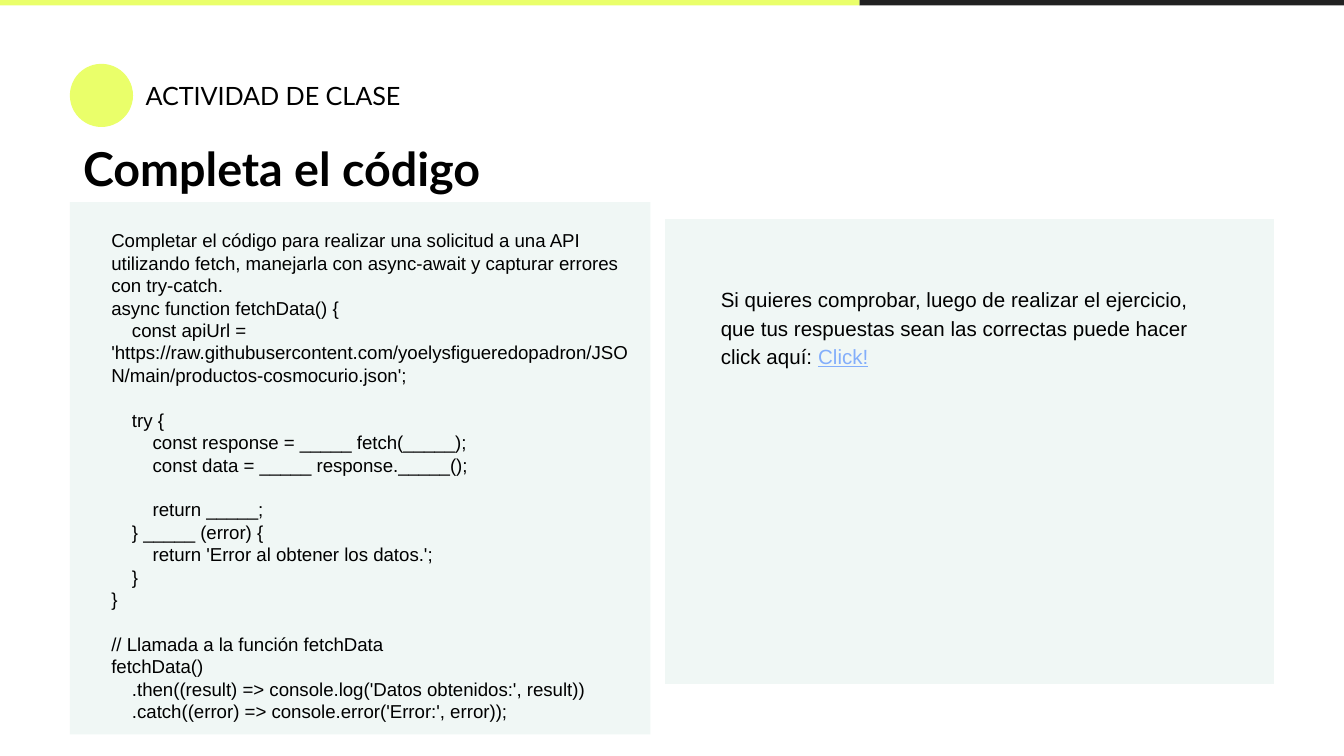
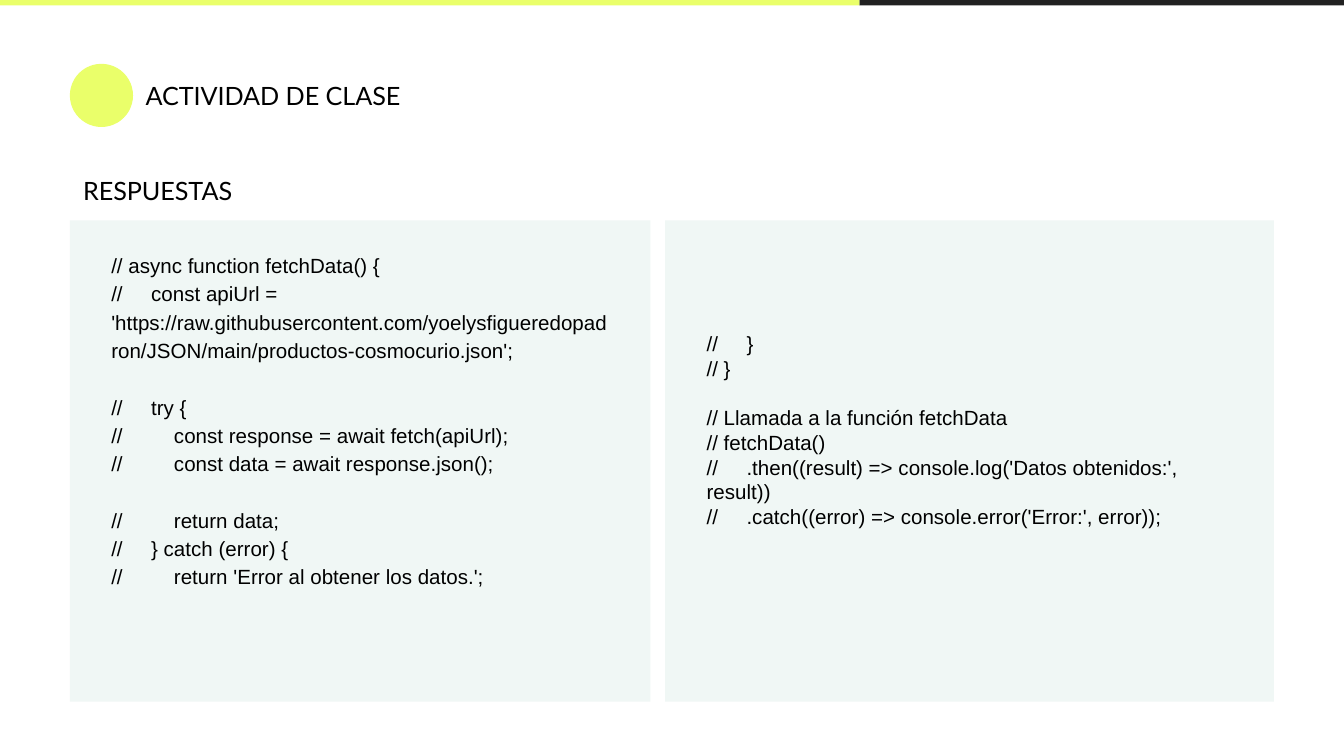
from collections import namedtuple

from pptx import Presentation
from pptx import util as u
from pptx.dml.color import RGBColor
from pptx.enum import shapes, text

LIME = RGBColor(0xEA, 0xFF, 0x6A)
CHARCOAL = RGBColor(0x21, 0x21, 0x21)
MIST = RGBColor(0xF0, 0xF7, 0xF5)
BLACK = RGBColor(0, 0, 0)
LINK_BLUE = RGBColor(0x83, 0xAE, 0xFB)

HEADING_FONT, BODY_FONT = "Lato", "Arial"
COLUMNS, ROWS = 100, 56.25
CELL = u.Inches(0.1)
MARGIN = 5.2
LEFT_WIDTH = 43.2
RIGHT_START, RIGHT_WIDTH = 49.5, 45.3
NATURAL_LINE = 1.2

Box = namedtuple("Box", "left top width height")

EXERCISE = """\
Completar el código para realizar una solicitud a una API utilizando fetch, manejarla con async-await y capturar errores con try-catch.
async function fetchData() {
    const apiUrl = 'https://raw.githubusercontent.com/yoelysfigueredopadron/JSON/main/productos-cosmocurio.json';

    try {
        const response = _____ fetch(_____);
        const data = _____ response._____();

        return _____;
    } _____ (error) {
        return 'Error al obtener los datos.';
    }
}

// Llamada a la función fetchData
fetchData()
    .then((result) => console.log('Datos obtenidos:', result))
    .catch((error) => console.error('Error:', error));"""

ANSWER_START = """\
// async function fetchData() {
//     const apiUrl = 'https://raw.githubusercontent.com/yoelysfigueredopadron/JSON/main/productos-cosmocurio.json';

//     try {
//         const response = await fetch(apiUrl);
//         const data = await response.json();

//         return data;
//     } catch (error) {
//         return 'Error al obtener los datos.';"""

ANSWER_END = """\
//     }
// }

// Llamada a la función fetchData
// fetchData()
//     .then((result) => console.log('Datos obtenidos:', result))
//     .catch((error) => console.error('Error:', error));"""

CHECK = ("Si quieres comprobar, luego de realizar el ejercicio, que tus respuestas "
         "sean las correctas puede hacer click aquí: ")


def place(box):
    """Turn a box in grid cells into slide lengths."""
    return [round(cells * CELL) for cells in box]


def inside(panel, across, down, width):
    """Return a box offset into a panel and reaching its bottom edge."""
    return Box(panel.left + across, panel.top + down, width, panel.height - down)


def add_block(page, box, colour, kind=shapes.MSO_SHAPE.RECTANGLE):
    """Draw a plain filled shape."""
    block = page.shapes.add_shape(kind, *place(box))
    block.shadow.inherit = False
    block.fill.solid()
    block.fill.fore_color.rgb = colour
    block.line.fill.background()


def add_text(page, box, content, size, font=BODY_FONT, spacing=1.0, bold=False):
    """Write lines of text, with each empty line becoming space before the next."""
    frame = page.shapes.add_textbox(*place(box)).text_frame
    frame.word_wrap = True
    frame.vertical_anchor = text.MSO_ANCHOR.TOP
    frame.margin_left = frame.margin_right = CELL
    frame.margin_top = frame.margin_bottom = CELL
    para, gap = frame.paragraphs[0], 0
    for number, line in enumerate(content.split("\n")):
        if not line.strip():
            gap += size * NATURAL_LINE * spacing
            continue
        if number:
            para = frame.add_paragraph()
        para.add_run().text = line
        para.line_spacing = spacing
        para.space_before = u.Pt(round(gap, 1))
        para.font.name = font
        para.font.size = u.Pt(size)
        para.font.bold = bold
        para.font.color.rgb = BLACK
        gap = 0
    return frame


def add_header(page):
    """Draw the top band, the round marker and the section label."""
    split = 63.95
    add_block(page, Box(split, -0.1, COLUMNS - split, 0.5), CHARCOAL)
    add_block(page, Box(0, -0.1, split, 0.5), LIME)
    add_block(page, Box(MARGIN, 4.75, 4.7, 4.7), LIME, shapes.MSO_SHAPE.OVAL)
    add_text(page, Box(9.85, 5, 32.8, 4.3), "ACTIVIDAD DE CLASE", 13.5, HEADING_FONT)


def add_panels(page, left_rows, right_rows):
    """Draw both panels from (top, height) pairs and return their boxes."""
    panels = (Box(MARGIN, left_rows[0], LEFT_WIDTH, left_rows[1]),
              Box(RIGHT_START, right_rows[0], RIGHT_WIDTH, right_rows[1]))
    for panel in panels:
        add_block(page, panel, MIST)
    return panels


def build_exercise(page):
    """Lay out the code to complete and the pointer to the answers."""
    add_header(page)
    left, right = add_panels(page, (15.05, 39.6), (16.3, 34.6))
    add_text(page, Box(MARGIN, 9.9, 80.4, 5.8), "Completa el código", 25,
             HEADING_FONT, spacing=0.9, bold=True)
    add_text(page, inside(left, 2.1, 1, 41.1), EXERCISE, 10)
    note = add_text(page, inside(right, 3.15, 3.8, 39), CHECK, 11, spacing=1.15)
    span = note.paragraphs[0].add_run()
    span.text = "Click!"
    span.font.underline = True
    span.font.color.rgb = LINK_BLUE


def build_answers(page):
    """Lay out the solved code across both panels."""
    add_header(page)
    left, right = add_panels(page, (16.4, 35.8), (16.4, 35.8))
    add_text(page, Box(MARGIN, 12.05, 32.8, 4.3), "RESPUESTAS", 13.5, HEADING_FONT)
    add_text(page, inside(left, 2.1, 1.15, 39), ANSWER_START, 11, spacing=1.15)
    add_text(page, inside(right, 2.1, 7.25, 39), ANSWER_END, 11)


def main():
    """Build and save the deck."""
    deck = Presentation()
    deck.slide_width, deck.slide_height = place((COLUMNS, ROWS))
    for build in (build_exercise, build_answers):
        build(deck.slides.add_slide(deck.slide_layouts[6]))
    deck.save("out.pptx")


if __name__ == "__main__":
    main()
